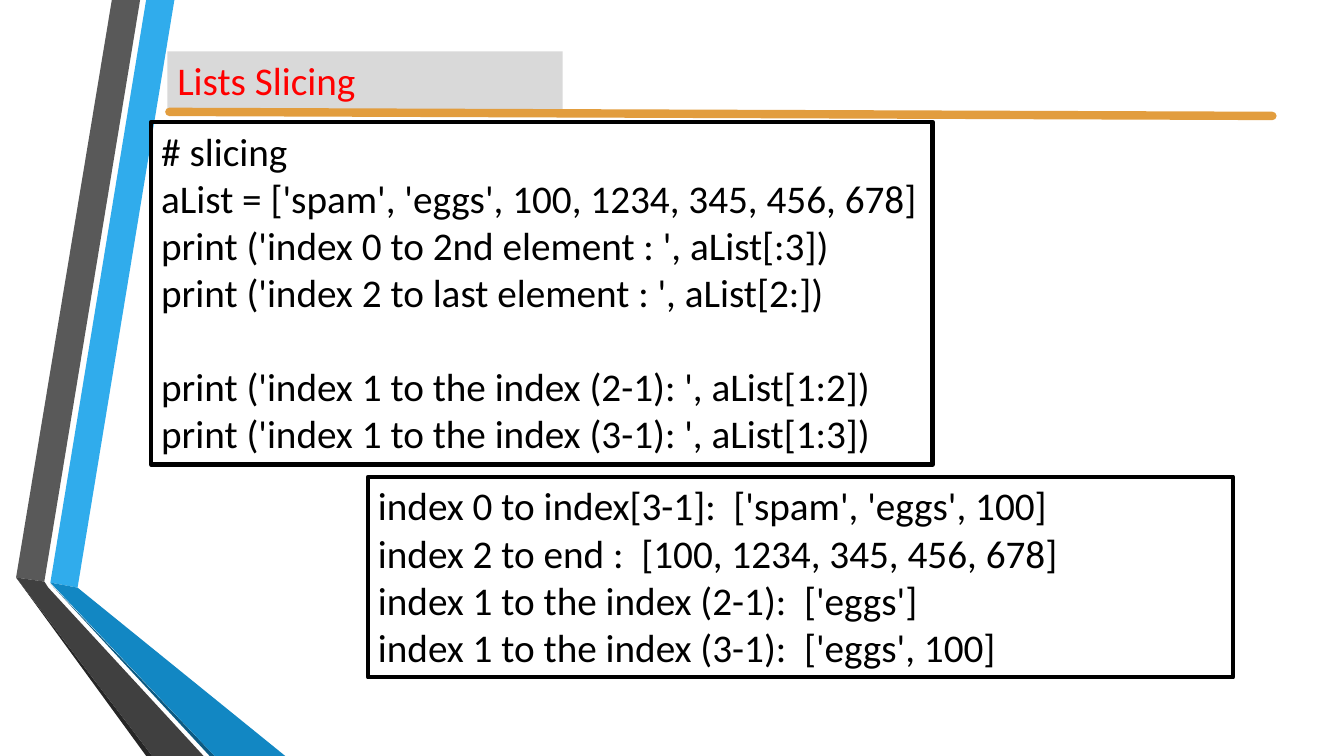
from dataclasses import dataclass

from lxml import etree
from pptx import Presentation
from pptx.dml.color import RGBColor
from pptx.enum.shapes import MSO_CONNECTOR, MSO_SHAPE
from pptx.enum.text import MSO_ANCHOR, PP_ALIGN
from pptx.oxml.ns import qn
from pptx.util import Inches, Pt


@dataclass(frozen=True)
class Theme:
    font: str = "Calibri"
    text_size: int = 28
    line_height: float = 33.6
    frame_width: int = 3
    rule_width: int = 6
    text: str = "000000"
    title: str = "FF0000"
    title_fill: str = "D9D9D9"
    rule: str = "E29D3E"
    blue: str = "30ACEC"
    blue_fold: str = "1287C3"
    blue_edge: str = "0C5A82"
    grey: str = "595959"
    grey_fold: str = "404040"
    grey_edge: str = "262626"


THEME = Theme()

RIBBONS = [
    (THEME.blue, [(0.34, 5.78), (0.61, 5.83), (1.57, 0), (1.29, 0)]),
    (THEME.grey, [(1.23, 0), (0.95, 0), (0, 5.73), (0.28, 5.77)]),
    (THEME.grey_edge, [(0, 5.73), (1.29, 7.5), (1.35, 7.5)]),
    (THEME.blue_edge, [(0.34, 5.79), (1.92, 7.5), (1.97, 7.5)]),
    (THEME.blue_fold, [(0.34, 5.78), (1.97, 7.5), (2.67, 7.5), (0.61, 5.83)]),
    (THEME.grey_fold, [(1.86, 7.5), (0.32, 5.83), (0.28, 5.77), (0, 5.73), (1.35, 7.5)]),
]

CODE = """# slicing
aList = ['spam', 'eggs', 100, 1234, 345, 456, 678]
print ('index 0 to 2nd element : ', aList[:3])
print ('index 2 to last element : ', aList[2:])
print ('index 1 to the index (2-1): ', aList[1:2])
print ('index 1 to the index (3-1): ', aList[1:3])"""

OUTPUT = """index 0 to index[3-1]:  ['spam', 'eggs', 100]
index 2 to end :  [100, 1234, 345, 456, 678]
index 1 to the index (2-1):  ['eggs']
index 1 to the index (3-1):  ['eggs', 100]"""


def color(value):
    return RGBColor.from_string(value)


def add_ribbons(slide, left, top):
    for fill, points in RIBBONS:
        corners = [(Inches(left + x), Inches(top + y)) for x, y in points]
        builder = slide.shapes.build_freeform(*corners[0])
        builder.add_line_segments(corners[1:], close=True)
        shape = builder.convert_to_shape()
        shape.shadow.inherit = False
        shape.fill.solid()
        shape.fill.fore_color.rgb = color(fill)
        shape.line.fill.background()


def add_text_panel(slide, left, top, width, height, text, text_color):
    box = [Inches(length) for length in (left, top, width, height)]
    shape = slide.shapes.add_shape(MSO_SHAPE.RECTANGLE, *box)
    shape.shadow.inherit = False
    shape.fill.background()
    shape.line.fill.background()
    frame = shape.text_frame
    frame.word_wrap = True
    frame.vertical_anchor = MSO_ANCHOR.TOP
    frame.text = text
    for paragraph in frame.paragraphs:
        paragraph.alignment = PP_ALIGN.LEFT
        font = paragraph.runs[0].font
        font.name = THEME.font
        font.size = Pt(THEME.text_size)
        font.color.rgb = color(text_color)
    return shape


def add_title(slide, left, top, width, height, text):
    panel = add_text_panel(slide, left, top, width, height, text, THEME.title)
    panel.fill.solid()
    panel.fill.fore_color.rgb = color(THEME.title_fill)
    rule_top = top + height + 0.03
    rule = slide.shapes.add_connector(
        MSO_CONNECTOR.STRAIGHT,
        Inches(left + 0.02), Inches(rule_top),
        Inches(left + 10.96), Inches(rule_top + 0.04),
    )
    rule.line.color.rgb = color(THEME.rule)
    rule.line.width = Pt(THEME.rule_width)
    rule.line._get_or_add_ln().set("cap", "rnd")
    etree.SubElement(rule._element.spPr, qn("a:effectLst"))


def add_framed_lines(slide, left, top, width, height, text, gap_before=None):
    panel = add_text_panel(slide, left, top, width, height, text, THEME.text)
    panel.line.color.rgb = color(THEME.text)
    panel.line.width = Pt(THEME.frame_width)
    etree.SubElement(panel.line._get_or_add_ln(), qn("a:round"))
    if gap_before is not None:
        panel.text_frame.paragraphs[gap_before].space_before = Pt(THEME.line_height)


def main():
    presentation = Presentation()
    presentation.slide_width = Inches(13.33)
    presentation.slide_height = Inches(7.5)
    slide = presentation.slides.add_slide(presentation.slide_layouts[6])
    add_ribbons(slide, 0.16, 0)
    add_title(slide, 1.66, 0.51, 3.92, 0.57, "Lists Slicing")
    add_framed_lines(slide, 1.5, 1.21, 7.75, 3.4, CODE, gap_before=4)
    add_framed_lines(slide, 3.65, 4.73, 8.58, 1.99, OUTPUT)
    presentation.save("out.pptx")


if __name__ == "__main__":
    main()
